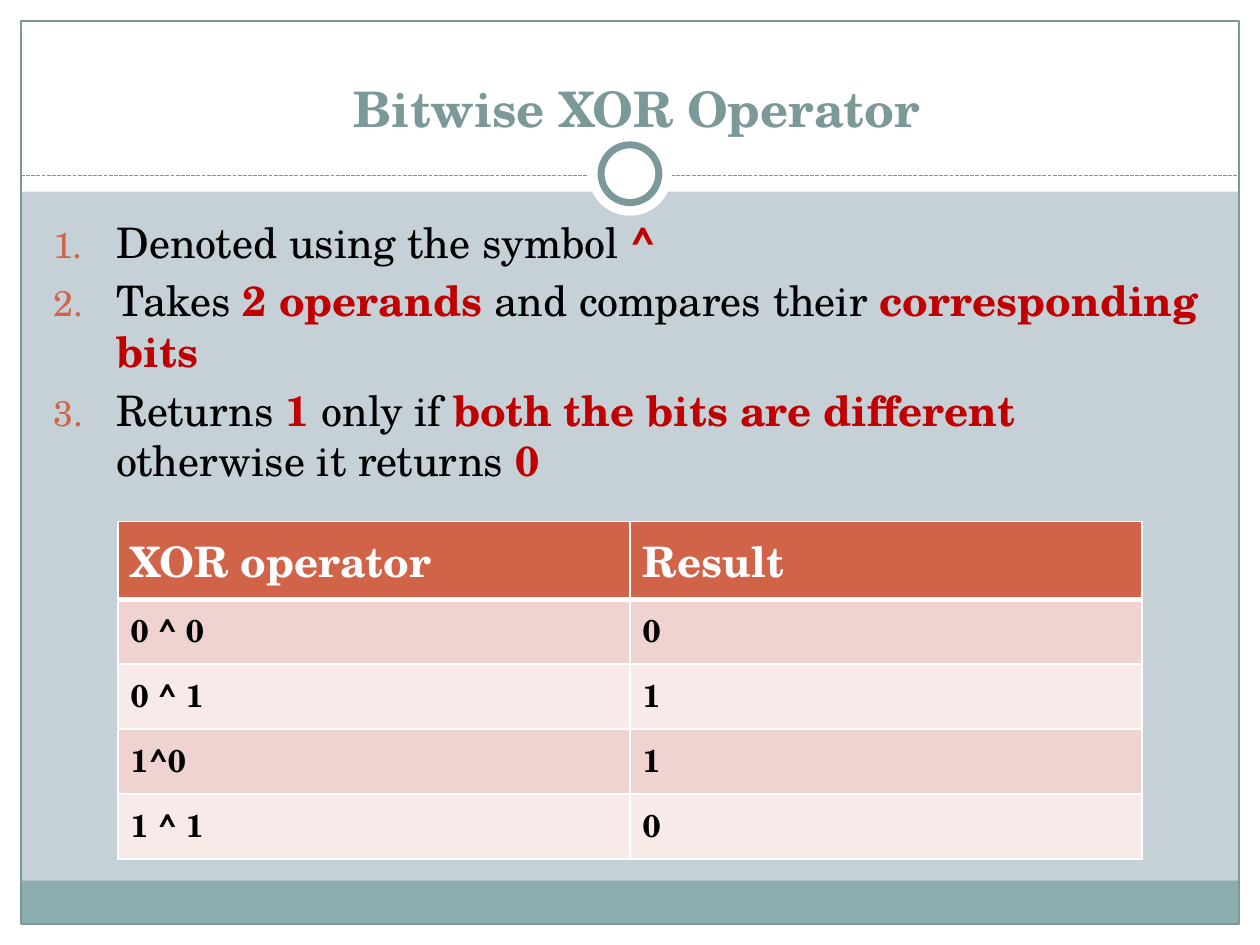
import pptx
import pptx.util
import pptx.dml.color
import pptx.enum.shapes
import pptx.enum.text
import pptx.enum.dml
import pptx.oxml
import pptx.oxml.ns

Pt = pptx.util.Pt
FONT = "TeX Gyre Schola"
WHITE, TEAL, RUST, RED, BLACK = "FFFFFF", "7C999A", "D16349", "C00000", "000000"

# Content: in a point, each run is (text, stressed)
TITLE = "Bitwise XOR Operator"
POINTS = [
    [("Denoted using the symbol ", False), ("^ ", True)],
    [("Takes ", False), ("2 operands ", True),
     ("and compares their ", False), ("corresponding bits", True)],
    [("Returns ", False), ("1", True), (" only if ", False),
     ("both the bits are different ", True),
     ("otherwise it returns", False), (" 0", True)],
]
ROWS = [("XOR operator", "Result"), ("0 ^ 0", "0"), ("0 ^ 1", "1"),
        ("1^0", "1"), ("1 ^ 1", "0")]
BANDS = ["EED3D0", "F7EAE9"]

# Frame: kind, box, fill, line colour, line width
WIDE, HIGH, EDGE = 720, 540, 12
MID, RULE = WIDE / 2, 100.5
FRAME = [
    ("RECTANGLE", (0, HIGH - EDGE, WIDE, EDGE), WHITE, None, 0),
    ("RECTANGLE", (0, 0, WIDE, 109.5), WHITE, None, 0),
    ("RECTANGLE", (0, 0, EDGE, HIGH), WHITE, None, 0),
    ("RECTANGLE", (WIDE - EDGE, 0, EDGE, HIGH), WHITE, None, 0),
    ("RECTANGLE", (EDGE, 503.2, WIDE - 2 * EDGE, 24.5), "8CADAE", None, 0),
    ("RECTANGLE", (EDGE, EDGE, WIDE - 2 * EDGE, HIGH - 2 * EDGE), None, TEAL, 0.75),
]
RINGS = [
    ("OVAL", (MID - 24, 75.3, 48, 48), WHITE, None, 0),
    ("OVAL", (MID - 16.5, 82.8, 33, 33), WHITE, TEAL, 4),
]


def color(code):
    return pptx.dml.color.RGBColor.from_string(code)


def paint(item, code):
    if code:
        item.fill.solid()
        item.fill.fore_color.rgb = color(code)
    else:
        item.fill.background()


def draw(kind, box, fill, line, width):
    kind = getattr(pptx.enum.shapes.MSO_SHAPE, kind)
    shape = slide.shapes.add_shape(kind, *map(Pt, box))
    shape.shadow.inherit = False
    paint(shape, fill)
    if line:
        shape.line.color.rgb = color(line)
        shape.line.width = Pt(width)
    else:
        shape.line.fill.background()


def write(para, text, size, code, bold):
    run = para.add_run()
    run.text = text
    run.font.name, run.font.size, run.font.bold = FONT, Pt(size), bold
    run.font.color.rgb = color(code)


def textbox(box):
    frame = slide.shapes.add_textbox(*map(Pt, box)).text_frame
    frame.word_wrap = True
    return frame


def add_xml(parent, tag, inner="", **attrs):
    pairs = "".join(f' {key}="{val}"' for key, val in attrs.items())
    space = pptx.oxml.ns.nsdecls("a")
    parent.append(pptx.oxml.parse_xml(f"<a:{tag} {space}{pairs}>{inner}</a:{tag}>"))


def number(para):
    props = para._p.get_or_add_pPr()
    props.set("marL", str(Pt(36)))
    props.set("indent", str(-Pt(36)))
    add_xml(props, "buClr", f'<a:srgbClr val="{RUST}"/>')
    add_xml(props, "buSzPct", val=85000)
    add_xml(props, "buFont", typeface=FONT)
    add_xml(props, "buAutoNum", type="arabicPeriod")


def border(cell, widths):
    props = cell._tc.get_or_add_tcPr()
    fill = f'<a:solidFill><a:srgbClr val="{WHITE}"/></a:solidFill>'
    for side, width in widths.items():
        add_xml(props, "ln" + side, fill, w=Pt(width))


show = pptx.Presentation()
show.slide_width, show.slide_height = Pt(WIDE), Pt(HIGH)
slide = show.slides.add_slide(show.slide_layouts[6])
paint(slide.background, "C5D1D7")

# Frame, dashed rule and ring
for part in FRAME:
    draw(*part)
rule = slide.shapes.add_connector(
    pptx.enum.shapes.MSO_CONNECTOR.STRAIGHT,
    Pt(EDGE), Pt(RULE), Pt(WIDE - EDGE), Pt(RULE))
rule.line.color.rgb = color(TEAL)
rule.line.width = Pt(0.75)
rule.line.dash_style = pptx.enum.dml.MSO_LINE.SQUARE_DOT
add_xml(rule._element.spPr, "effectLst")
for part in RINGS:
    draw(*part)

# Title
frame = textbox((28, 22, 672, 60))
frame.vertical_anchor = pptx.enum.text.MSO_ANCHOR.BOTTOM
para = frame.paragraphs[0]
para.alignment = pptx.enum.text.PP_ALIGN.CENTER
write(para, TITLE, 28, TEAL, True)

# Numbered points
frame = textbox((23.5, 120, 669.6, 382.5))
for i, runs in enumerate(POINTS):
    para = frame.add_paragraph() if i else frame.paragraphs[0]
    para.space_before = Pt(4.8)
    number(para)
    for text, stress in runs:
        write(para, text, 24, RED if stress else BLACK, stress)

# Truth table
HEAD, ROW, COL = 44.5, 37.1, 292.5
high = HEAD + ROW * (len(ROWS) - 1)
table = slide.shapes.add_table(
    len(ROWS), 2, Pt(67.5), Pt(298), Pt(2 * COL), Pt(high)).table
for col in table.columns:
    col.width = Pt(COL)
for r, texts in enumerate(ROWS):
    table.rows[r].height = Pt(ROW if r else HEAD)
    for c, text in enumerate(texts):
        cell = table.cell(r, c)
        border(cell, {"L": 1, "R": 1, "T": 1 if r != 1 else 3, "B": 1 if r else 3})
        paint(cell, BANDS[(r - 1) % 2] if r else RUST)
        para = cell.text_frame.paragraphs[0]
        write(para, text, 18 if r else 24, BLACK if r else WHITE, True)

show.save("out.pptx")
